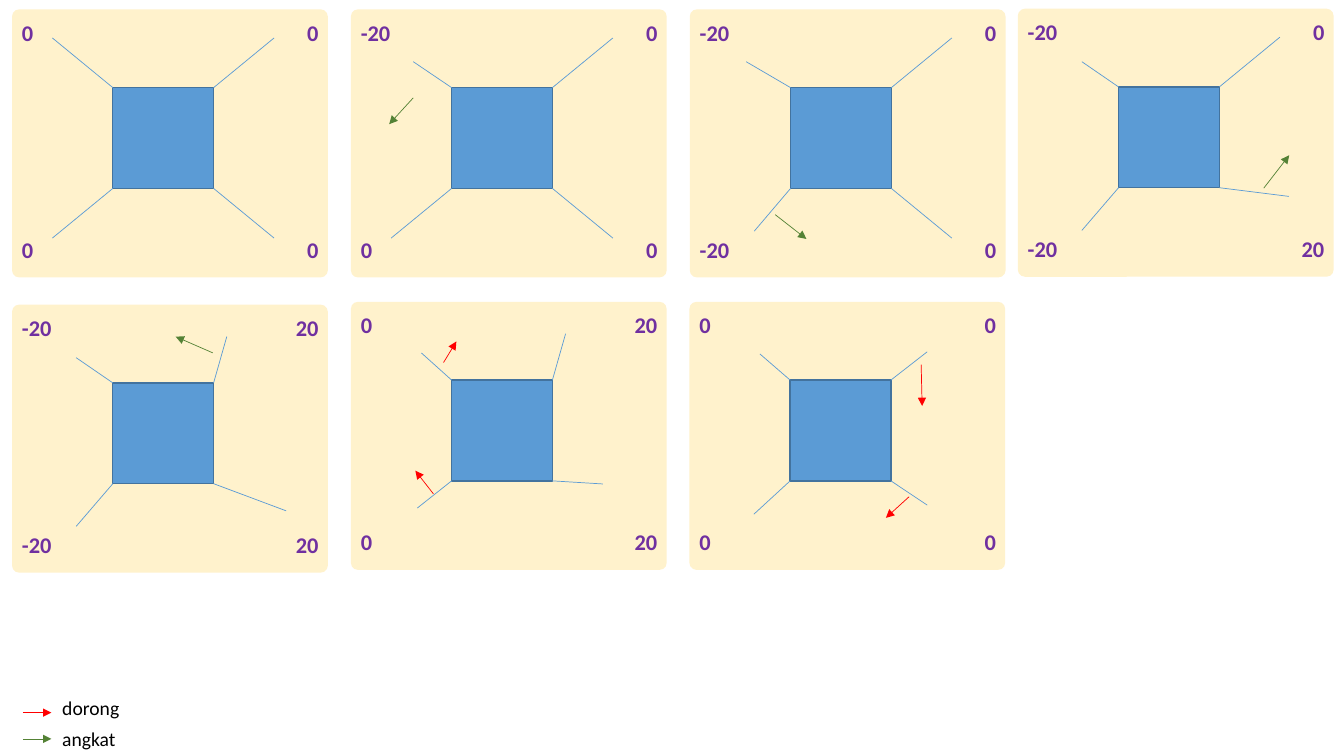
from lxml.etree import SubElement
from pptx import Presentation
from pptx.dml.color import RGBColor as Color
from pptx.enum.shapes import MSO_CONNECTOR as Connector, MSO_SHAPE as Preset
from pptx.enum.text import PP_ALIGN as Align
from pptx.oxml.ns import qn
from pptx.util import Pt

# Content. Corners run top left, top right, bottom left, bottom right.
# Legs are offsets from the body's corners; moves are (kind, start, end)
# measured from the panel's top left corner. All lengths are points.
REST = [(-43.2, -35.5), (43.2, -35.5), (-43.2, 35.5), (43.2, 35.5)]
PANELS = [
    {"at": (8.6, 6.7), "angles": ["0", "0", "0", "0"], "legs": REST, "moves": []},
    {"at": (250.6, 6.7), "angles": ["-20", "0", "0", "0"],
     "legs": [(-27.4, -18.5), *REST[1:]],
     "moves": [("angkat", (44.6, 63.2), (27.4, 82))]},
    {"at": (492.7, 6.7), "angles": ["-20", "0", "-20", "0"],
     "legs": [(-31.7, -18.5), REST[1], (-25.9, 30.5), REST[3]],
     "moves": [("angkat", (61, 146.6), (83.3, 164))]},
    {"at": (727, 6.2), "angles": ["-20", "0", "-20", "20"],
     "legs": [(-26.2, -18), REST[1], (-26.2, 30.5), (49.7, 6.2)],
     "moves": [("angkat", (175.7, 128.2), (193.9, 104.7))]},
    {"at": (8.6, 217.6), "angles": ["-20", "20", "-20", "20"],
     "legs": [(-26.2, -18), (9.4, -33.1), (-26.2, 30.5), (51.8, 19.4)],
     "moves": [("angkat", (143.3, 34.4), (116.9, 22.9))]},
    {"at": (250.6, 215.6), "angles": ["0", "20", "0", "20"],
     "legs": [(-21.6, -19.4), (9.4, -33.1), (-24.5, 19.4), (36, 2.2)],
     "moves": [("dorong", (59, 137.2), (46.1, 120.6)),
               ("dorong", (66.2, 43.4), (75.4, 28.3))]},
    {"at": (492.4, 215.6), "angles": ["0", "0", "0", "0"],
     "legs": [(-21.6, -18.7), (25.9, -20.2), (-25.9, 23.8), (25.9, 17.3)],
     "moves": [("dorong", (157, 139.2), (140.4, 154.3)),
               ("dorong", (165.6, 44.8), (166.3, 74.4))]},
]
LEGEND = [("dorong", 493.9, 509), ("angkat", 515.9, 527.8)]  # text top, arrow y

THEME = {
    "panel": "FFF2CC", "body": "5B9BD5", "edge": "43739E", "leg": "5B9BD5",
    "dorong": "FF0000", "angkat": "548235",
    "angle": {"name": "Calibri", "size": Pt(16), "bold": True, "color": "7030A0"},
    "legend": {"name": "Calibri", "size": Pt(14), "bold": False, "color": "000000"},
}

SLIDE_SIZE = (960, 540)
PANEL_SIZE = (225.6, 191.5)
BODY_LEFT, BODY_TOP, BODY_SIZE = 72, 55.9, 72
LABEL_TOPS, LABEL_HEIGHT = (3.3, 158.3), 26.6
LABEL_WIDTHS = {1: 22.8, 2: 31, 3: 36}
LEGEND_LEFT, LEGEND_WIDTH, LEGEND_HEIGHT = 37.4, 80, 24.2


def add_block(shapes, preset, box, fill, edge=None):
    """Add a filled preset shape, outlined when an edge colour is given."""
    shape = shapes.add_shape(preset, *map(Pt, box))
    shape.shadow.inherit = False
    shape.fill.solid()
    shape.fill.fore_color.rgb = Color.from_string(fill)
    if edge:
        shape.line.color.rgb = Color.from_string(edge)
        shape.line.width = Pt(1)
    else:
        shape.line.fill.background()
    return shape


def add_text(shapes, text, box, style, align=Align.LEFT):
    """Add one line of text in the given theme style."""
    frame = shapes.add_textbox(*map(Pt, box)).text_frame
    frame.word_wrap = True
    paragraph = frame.paragraphs[0]
    paragraph.alignment = align
    run = paragraph.add_run()
    run.text = text
    for name, value in style.items():
        if name == "color":
            run.font.color.rgb = Color.from_string(value)
        else:
            setattr(run.font, name, value)


def add_line(shapes, start, end, color, arrow=False):
    """Add a thin straight line, with an arrowhead at its end if asked."""
    line = shapes.add_connector(Connector.STRAIGHT, *map(Pt, (*start, *end)))
    line.line.color.rgb = Color.from_string(color)
    line.line.width = Pt(0.5)
    properties = line._element.spPr
    if arrow:
        SubElement(properties.find(qn("a:ln")), qn("a:tailEnd"), type="triangle")
    SubElement(properties, qn("a:effectLst"))


def shifted(point, offset):
    """Return the point moved by the offset."""
    return point[0] + offset[0], point[1] + offset[1]


def add_angle(shapes, angle, origin, row, column):
    """Write an angle in its corner; the box is wider than its text, growing inwards."""
    width = LABEL_WIDTHS[len(angle)] + 10
    label = shifted(origin, (column * (PANEL_SIZE[0] + 0.4 - width), LABEL_TOPS[row]))
    add_text(shapes, angle, (*label, width, LABEL_HEIGHT), THEME["angle"],
             Align.RIGHT if column else Align.LEFT)


def add_panel(slide, panel):
    """Draw one step: card, corner angles, body, legs and moves."""
    origin = panel["at"]
    shapes = slide.shapes.add_group_shape().shapes
    card = add_block(shapes, Preset.ROUNDED_RECTANGLE, (*origin, *PANEL_SIZE), THEME["panel"])
    card.adjustments[0] = 0.027
    body = shifted(origin, (BODY_LEFT, BODY_TOP))
    add_block(shapes, Preset.RECTANGLE, (*body, BODY_SIZE, BODY_SIZE), THEME["body"], THEME["edge"])
    for index, (angle, leg) in enumerate(zip(panel["angles"], panel["legs"])):
        row, column = divmod(index, 2)
        add_angle(shapes, angle, origin, row, column)
        corner = shifted(body, (column * BODY_SIZE, row * BODY_SIZE))
        add_line(shapes, corner, shifted(corner, leg), THEME["leg"])
    for kind, start, end in panel["moves"]:
        add_line(slide.shapes, shifted(origin, start), shifted(origin, end), THEME[kind], arrow=True)


def main():
    """Build the slide and save it."""
    presentation = Presentation()
    presentation.slide_width, presentation.slide_height = map(Pt, SLIDE_SIZE)
    slide = presentation.slides.add_slide(presentation.slide_layouts[6])
    for panel in PANELS:
        add_panel(slide, panel)
    for kind, top, middle in LEGEND:
        add_line(slide.shapes, (16.4, middle), (36.7, middle), THEME[kind], arrow=True)
        add_text(slide.shapes, kind, (LEGEND_LEFT, top, LEGEND_WIDTH, LEGEND_HEIGHT), THEME["legend"])
    presentation.save("out.pptx")


main()
